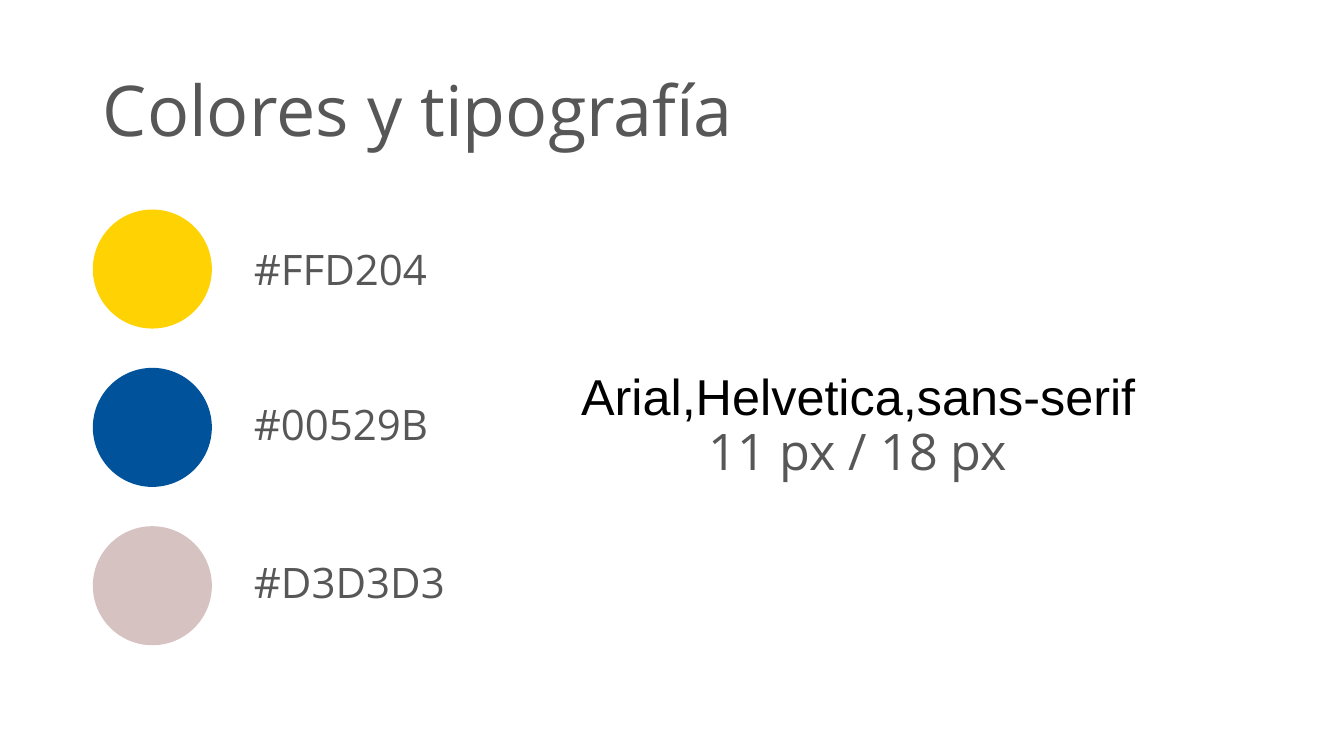
from dataclasses import dataclass

from pptx import Presentation
from pptx import util as u
from pptx.dml.color import RGBColor
from pptx.enum import shapes, text

COLORS = {
    "yellow": "FFD204",
    "blue": "00529B",
    "rose": "D7C2C2",
    "gray": "575757",
    "black": "000000",
}
BODY_FONT = "Open Sans"
LEFT = 2.34
SWATCH_TOP = 5.28
SWATCH_PITCH = 3.99
SWATCH_SIZE = 3.0


@dataclass(frozen=True)
class Swatch:
    color: str
    code: str
    code_top: float


SWATCHES = [
    Swatch("yellow", "#FFD204", 5.0),
    Swatch("blue", "#00529B", 8.92),
    Swatch("rose", "#D3D3D3", 12.9),
]


def rgb(name: str) -> RGBColor:
    return RGBColor.from_string(COLORS[name])


def place(shape, left: float, top: float, width: float, height: float) -> None:
    shape.left, shape.top = u.Cm(left), u.Cm(top)
    shape.width, shape.height = u.Cm(width), u.Cm(height)


def set_font(font, size: float, name: str = BODY_FONT, color: str = "gray") -> None:
    font.size = u.Pt(size)
    font.name = name
    font.color.rgb = rgb(color)


def format_frame(frame, align=text.PP_ALIGN.LEFT):
    frame.word_wrap = True
    frame.auto_size = text.MSO_AUTO_SIZE.NONE
    frame.vertical_anchor = text.MSO_ANCHOR.MIDDLE
    paragraph = frame.paragraphs[0]
    paragraph.alignment = align
    paragraph.line_spacing = 0.9
    return paragraph


def add_title(slide) -> None:
    title = slide.shapes.title
    place(title, LEFT, 1.02, 29.21, 3.68)
    title.text_frame.text = "Colores y tipografía"
    set_font(format_frame(title.text_frame).font, 50)


def add_swatch(slide, swatch: Swatch, row: int) -> None:
    disc = slide.shapes.add_shape(
        shapes.MSO_SHAPE.ROUNDED_RECTANGLE,
        u.Cm(LEFT), u.Cm(SWATCH_TOP + row * SWATCH_PITCH),
        u.Cm(SWATCH_SIZE), u.Cm(SWATCH_SIZE),
    )
    disc.adjustments[0] = 0.5
    disc.shadow.inherit = False
    disc.fill.solid()
    disc.fill.fore_color.rgb = rgb(swatch.color)
    disc.line.fill.background()

    code = slide.shapes.add_textbox(
        u.Cm(6.15), u.Cm(swatch.code_top), u.Cm(5.56), u.Cm(3.68)
    )
    code.text_frame.text = swatch.code
    set_font(format_frame(code.text_frame).font, 30)


def add_typography(slide) -> None:
    sample = slide.shapes.add_textbox(
        u.Cm(12.88), u.Cm(7.06), u.Cm(17.5), u.Cm(7.39)
    )
    paragraph = format_frame(sample.text_frame, text.PP_ALIGN.CENTER)
    family = paragraph.add_run()
    family.text = "Arial,Helvetica,sans-serif"
    set_font(family.font, 36, "Arial", "black")
    paragraph.add_line_break()
    sizes = paragraph.add_run()
    sizes.text = "11 px / 18 px"
    set_font(sizes.font, 36)


def main() -> None:
    deck = Presentation()
    deck.slide_width, deck.slide_height = u.Cm(33.87), u.Cm(19.05)
    slide = deck.slides.add_slide(deck.slide_layouts[5])
    add_title(slide)
    for row, swatch in enumerate(SWATCHES):
        add_swatch(slide, swatch, row)
    add_typography(slide)
    deck.save("out.pptx")


if __name__ == "__main__":
    main()
